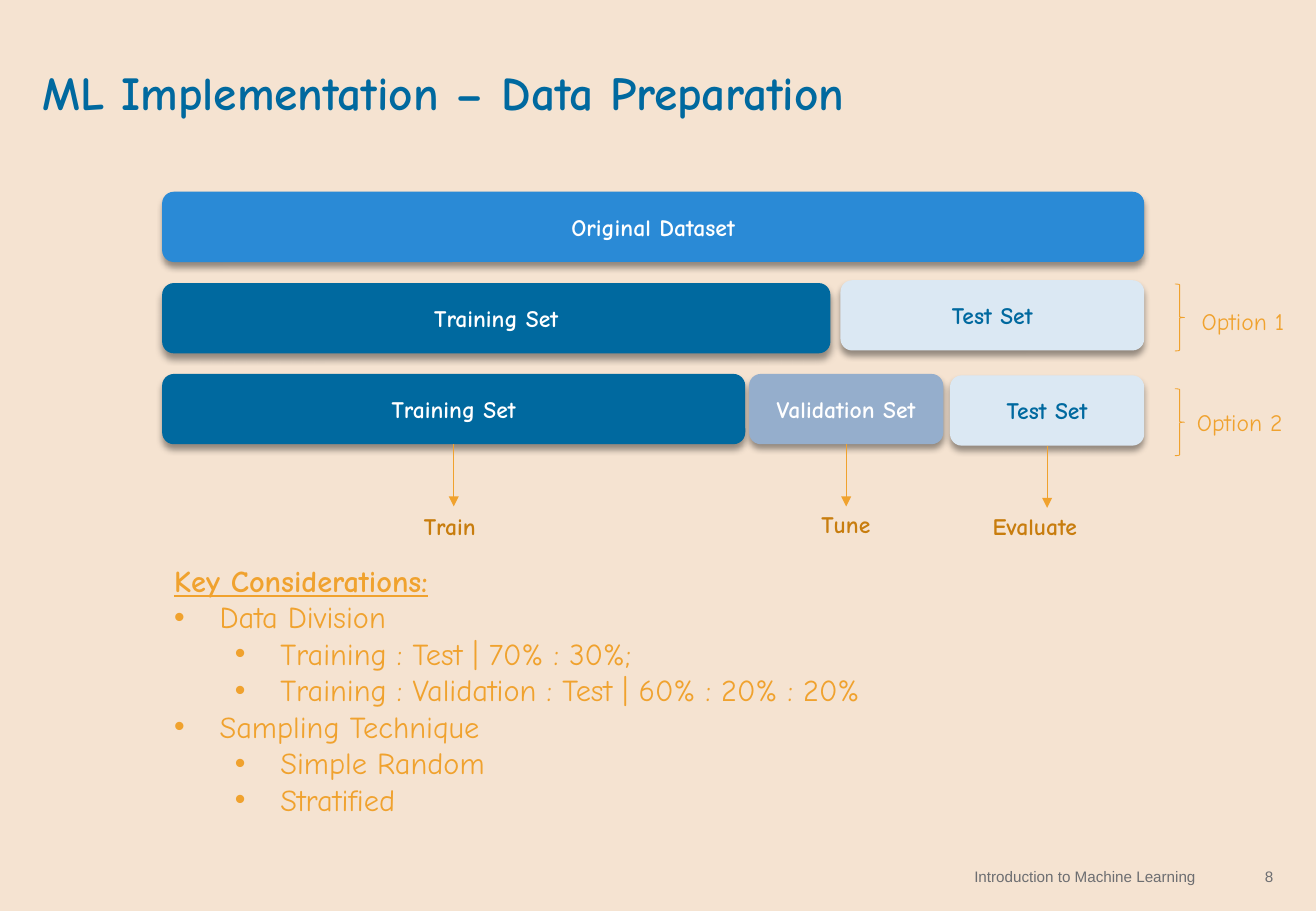
import pptx
import pptx.dml.color
import pptx.enum.shapes
import pptx.enum.text
import pptx.oxml
import pptx.oxml.ns
import pptx.util

Cm = pptx.util.Cm
Pt = pptx.util.Pt
Shape = pptx.enum.shapes.MSO_SHAPE
Align = pptx.enum.text.PP_ALIGN
Anchor = pptx.enum.text.MSO_ANCHOR

BLUE = "00699F"
PALE = "DBE8F3"
WHITE = "FFFFFF"
ORANGE = "F0A22E"
BROWN = "C87D0E"
GREY = "6D6E71"


def color(value):
    return pptx.dml.color.RGBColor.from_string(value)


def element(tag, body="", attributes=""):
    namespace = pptx.oxml.ns.nsdecls("a")
    return pptx.oxml.parse_xml(f"<a:{tag} {namespace} {attributes}>{body}</a:{tag}>")


class SlideBuilder:
    font = "Comic Neue"
    shadow = (
        '<a:outerShdw blurRad="50800" dist="38100" dir="5400000" rotWithShape="0">'
        '<a:srgbClr val="000000"><a:alpha val="40000"/></a:srgbClr></a:outerShdw>'
    )

    def __init__(self, presentation, background):
        self.slide = presentation.slides.add_slide(presentation.slide_layouts[5])
        self.slide.background.fill.solid()
        self.slide.background.fill.fore_color.rgb = color(background)

    def style(self, paragraph, size, ink, bold=False, font=None):
        for run in paragraph.runs:
            run.font.name = font or self.font
            run.font.size = Pt(size)
            run.font.bold = bold
            run.font.color.rgb = color(ink)

    def title(self, text, left, top, width, height):
        title = self.slide.shapes.title
        title.left, title.top, title.width, title.height = map(Cm, (left, top, width, height))
        frame = title.text_frame
        frame.text = text
        frame.auto_size = pptx.enum.text.MSO_AUTO_SIZE.NONE
        frame.vertical_anchor = Anchor.BOTTOM
        frame.margin_left = frame.margin_right = frame.margin_top = frame.margin_bottom = 0
        frame.paragraphs[0].alignment = Align.LEFT
        frame.paragraphs[0].line_spacing = 0.9
        self.style(frame.paragraphs[0], 28, BLUE, True)

    def bar(self, text, left, top, width, fill, ink):
        shape = self.slide.shapes.add_shape(
            Shape.ROUNDED_RECTANGLE, Cm(left), Cm(top), Cm(width), Cm(1.47))
        shape.fill.solid()
        shape.fill.fore_color.rgb = color(fill)
        shape.line.fill.background()
        shape._element.spPr.append(element("effectLst", self.shadow))
        shape.text_frame.text = text
        shape.text_frame.vertical_anchor = Anchor.MIDDLE
        shape.text_frame.paragraphs[0].alignment = Align.CENTER
        self.style(shape.text_frame.paragraphs[0], 14, ink, True)
        return shape

    def text(self, text, left, top, width, height, size, ink, bold=False, wrap=True, font=None):
        shape = self.slide.shapes.add_textbox(Cm(left), Cm(top), Cm(width), Cm(height))
        frame = shape.text_frame
        frame.word_wrap = wrap
        frame.text = text
        for paragraph in frame.paragraphs:
            self.style(paragraph, size, ink, bold, font)
        return frame

    def footer(self, text, left, top, width, height, margin_right=0.0):
        frame = self.text(text, left, top, width, height, 9, GREY, font="Arial")
        frame.vertical_anchor = Anchor.MIDDLE
        frame.margin_left = frame.margin_top = frame.margin_bottom = 0
        frame.margin_right = Cm(margin_right)
        frame.paragraphs[0].alignment = Align.RIGHT

    def arrow(self, bar, length):
        middle = bar.left + bar.width // 2
        bottom = bar.top + bar.height
        connector = self.slide.shapes.add_connector(
            pptx.enum.shapes.MSO_CONNECTOR.STRAIGHT, middle, bottom, middle, bottom + Cm(length))
        connector.begin_connect(bar, 2)
        connector.line.color.rgb = color(ORANGE)
        connector.line.width = Pt(0.5)
        connector.line._get_or_add_ln().append(element("tailEnd", attributes='type="triangle"'))
        connector._element.spPr.append(element("effectLst"))

    def brace(self, left, top, width, height):
        shape = self.slide.shapes.add_shape(
            Shape.RIGHT_BRACE, Cm(left), Cm(top), Cm(width), Cm(height))
        shape.shadow.inherit = False
        shape.fill.background()
        shape.line.color.rgb = color(ORANGE)
        shape.line.width = Pt(0.5)

    def bullets(self, heading, items, left, top, width, height):
        lines = [heading] + [text for level, text in items]
        frame = self.text("\n".join(lines), left, top, width, height, 18, ORANGE)
        heading_font = frame.paragraphs[0].runs[0].font
        heading_font.bold = heading_font.underline = True
        for paragraph, (level, text) in zip(frame.paragraphs[1:], items):
            paragraph.level = level
            properties = paragraph._p.get_or_add_pPr()
            properties.set("marL", str(Cm(0.95 + 1.27 * level)))
            properties.set("indent", str(-Cm(0.95)))
            properties.append(element("buFont", attributes='typeface="Arial"'))
            properties.append(element("buChar", attributes='char="•"'))


def main():
    presentation = pptx.Presentation()
    presentation.slide_width = Cm(27.51)
    presentation.slide_height = Cm(19.05)
    builder = SlideBuilder(presentation, "F5E3D1")

    builder.title("ML Implementation – Data Preparation", 0.89, 0.56, 25.73, 1.96)

    builder.bar("Original Dataset", 3.39, 4.01, 20.53, "2A8AD6", WHITE)
    builder.bar("Training Set", 3.39, 5.92, 13.97, BLUE, WHITE)
    builder.bar("Test Set", 17.57, 5.86, 6.35, PALE, BLUE)

    option_two = [
        ("Training Set", 3.39, 7.82, 12.19, BLUE, WHITE, "Train", 8.61, 10.59, 1.83),
        ("Validation Set", 15.66, 7.82, 4.06, "95AECC", WHITE, "Tune", 16.92, 10.54, 1.7),
        ("Test Set", 19.86, 7.85, 4.06, PALE, BLUE, "Evaluate", 20.5, 10.59, 2.46),
    ]
    for name, left, top, width, fill, ink, step, step_left, step_top, step_width in option_two:
        bar = builder.bar(name, left, top, width, fill, ink)
        builder.arrow(bar, 1.3)
        builder.text(step + " ", step_left, step_top, step_width, 0.86, 14, BROWN, True, False)

    options = [("Option 1", 5.94, 24.87, 6.3), ("Option 2", 8.13, 24.77, 8.41)]
    for name, brace_top, label_left, label_top in options:
        builder.brace(24.56, brace_top, 0.2, 1.4)
        builder.text(name, label_left, label_top, 2.44, 0.94, 14, ORANGE)

    builder.bullets("Key Considerations:", [
        (0, "Data Division"),
        (1, "Training : Test | 70% : 30%;"),
        (1, "Training : Validation : Test | 60% : 20% : 20%"),
        (0, "Sampling Technique"),
        (1, "Simple Random"),
        (1, "Stratified"),
    ], 3.39, 11.63, 18.21, 6.4)

    builder.footer("Introduction to Machine Learning", 15.72, 17.98, 9.65, 0.71, 0.38)
    builder.footer("8", 25.63, 17.91, 0.99, 0.84)

    presentation.save("out.pptx")


if __name__ == "__main__":
    main()
